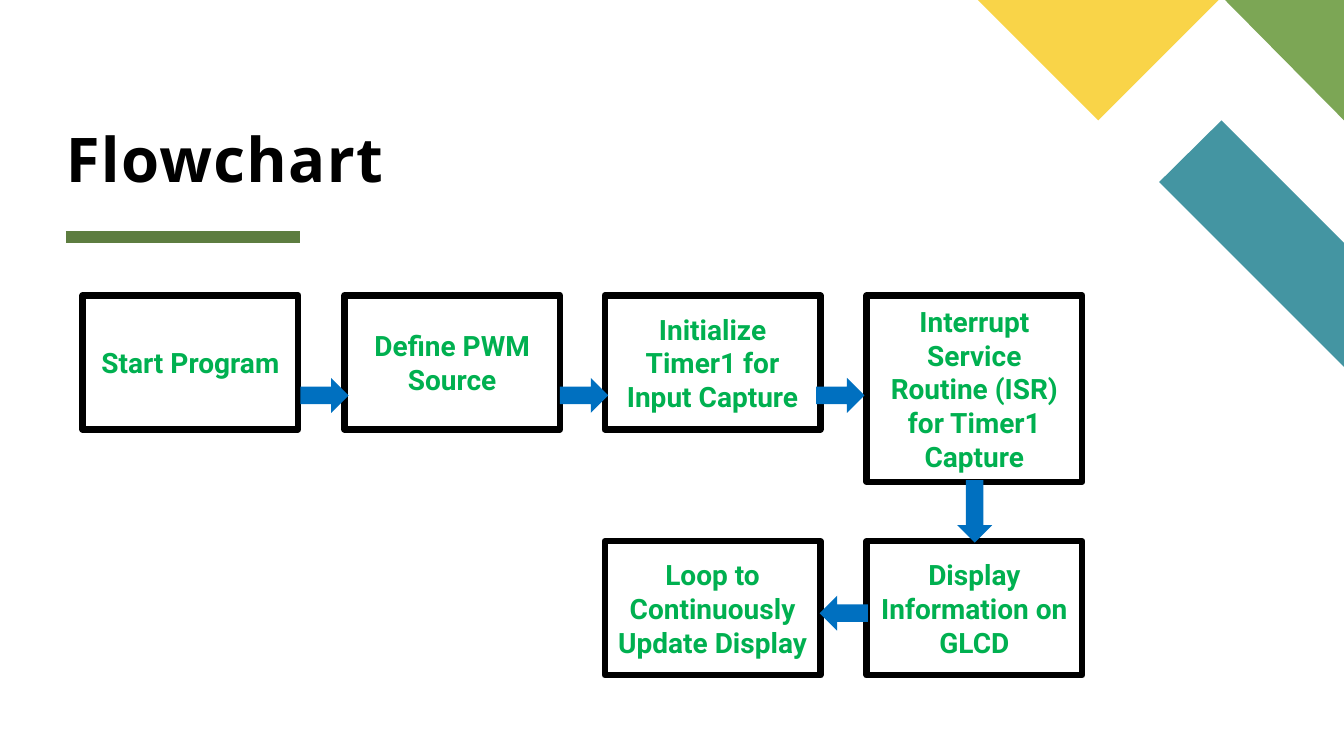
from lxml.etree import SubElement
from pptx import Presentation
from pptx.dml.color import RGBColor
from pptx.enum.shapes import MSO_CONNECTOR, MSO_SHAPE
from pptx.enum.text import MSO_ANCHOR, PP_ALIGN
from pptx.oxml.ns import qn
from pptx.util import Pt

COLORS = {"teal": "4495A2", "leaf": "7CA655", "gold": "F9D448", "moss": "5D7D40",
          "black": "000000", "green": "00B050", "blue": "0070C0"}


def color(name):
    return RGBColor.from_string(COLORS[name])


def write(shape, text, font, size, ink, align, anchor, inset=None, gap=None, lead=None):
    frame = shape.text_frame
    frame.word_wrap = True
    frame.vertical_anchor = anchor
    if inset is not None:
        frame.margin_left = frame.margin_right = Pt(inset)
        frame.margin_top = frame.margin_bottom = Pt(inset)
    para = frame.paragraphs[0]
    para.alignment = align
    if lead:
        para.line_spacing = lead
    run = para.add_run()
    run.text = text
    run.font.name = font
    run.font.size = Pt(size)
    run.font.bold = True
    run.font.color.rgb = color(ink)
    if gap:
        run.font._element.set("spc", str(gap * 100))


deck = Presentation()
deck.slide_width, deck.slide_height = Pt(960), Pt(540)
slide = deck.slides.add_slide(deck.slide_layouts[5])
shapes = slide.shapes

# Corner shapes
corners = [
    ("teal", [(960, 262), (960, 173.5), (872.5, 86), (828, 130)]),
    ("leaf", [(960, 86), (960, 0), (875, 0)]),
    ("gold", [(698.5, 0), (784.5, 86), (870.5, 0)]),
]
for name, dots in corners:
    dots = [(Pt(x), Pt(y)) for x, y in dots]
    path = shapes.build_freeform(*dots[0])
    path.add_line_segments(dots[1:], close=True)
    corner = path.convert_to_shape()
    corner.shadow.inherit = False
    corner.fill.solid()
    corner.fill.fore_color.rgb = color(name)
    corner.line.fill.background()

# Title and its rule
title = shapes.title
title.left, title.top, title.width, title.height = Pt(47), Pt(21.5), Pt(769.5), Pt(117.5)
write(title, "Flowchart", font="Open Sans", size=44, ink="black", align=PP_ALIGN.LEFT,
      anchor=MSO_ANCHOR.BOTTOM, inset=0, gap=1, lead=0.8)
rule = shapes.add_connector(MSO_CONNECTOR.STRAIGHT, Pt(47), Pt(169.3), Pt(214.6), Pt(169.3))
rule.line.color.rgb = color("moss")
rule.line.width = Pt(8)
SubElement(rule._element.spPr, qn("a:effectLst"))

# Steps
COLS = [59, 246, 432, 619]
ROWS = [211, 386.6]
WIDE, HIGH, TALL = 154, 95.8, 133.2
steps = [
    ("Start Program", 0, 0, HIGH),
    ("Define PWM Source", 1, 0, HIGH),
    ("Initialize Timer1 for Input Capture", 2, 0, HIGH),
    ("Interrupt Service Routine (ISR) for Timer1 Capture", 3, 0, TALL),
    ("Display Information on GLCD", 3, 1, HIGH),
    ("Loop to Continuously Update Display", 2, 1, HIGH),
]
for text, col, row, high in steps:
    box = shapes.add_shape(MSO_SHAPE.RECTANGLE, Pt(COLS[col]), Pt(ROWS[row]), Pt(WIDE), Pt(high))
    box.shadow.inherit = False
    box.fill.background()
    box.line.color.rgb = color("black")
    box.line.width = Pt(4.5)
    write(box, text, font="Roboto", size=20, ink="green", align=PP_ALIGN.CENTER,
          anchor=MSO_ANCHOR.MIDDLE)

# Block arrows: left, top, width, turn
arrows = [(214.5, 270, 34.5, 0), (400, 270, 34.5, 0), (583, 270, 34.5, 0),
          (585.5, 425.5, 34.5, 180), (673.9, 352.8, 44.6, 90)]
for left, top, wide, turn in arrows:
    arrow = shapes.add_shape(MSO_SHAPE.RIGHT_ARROW, Pt(left), Pt(top), Pt(wide), Pt(25))
    arrow.rotation = turn
    arrow.shadow.inherit = False
    arrow.fill.solid()
    arrow.fill.fore_color.rgb = color("blue")
    arrow.line.fill.background()

deck.save("out.pptx")
